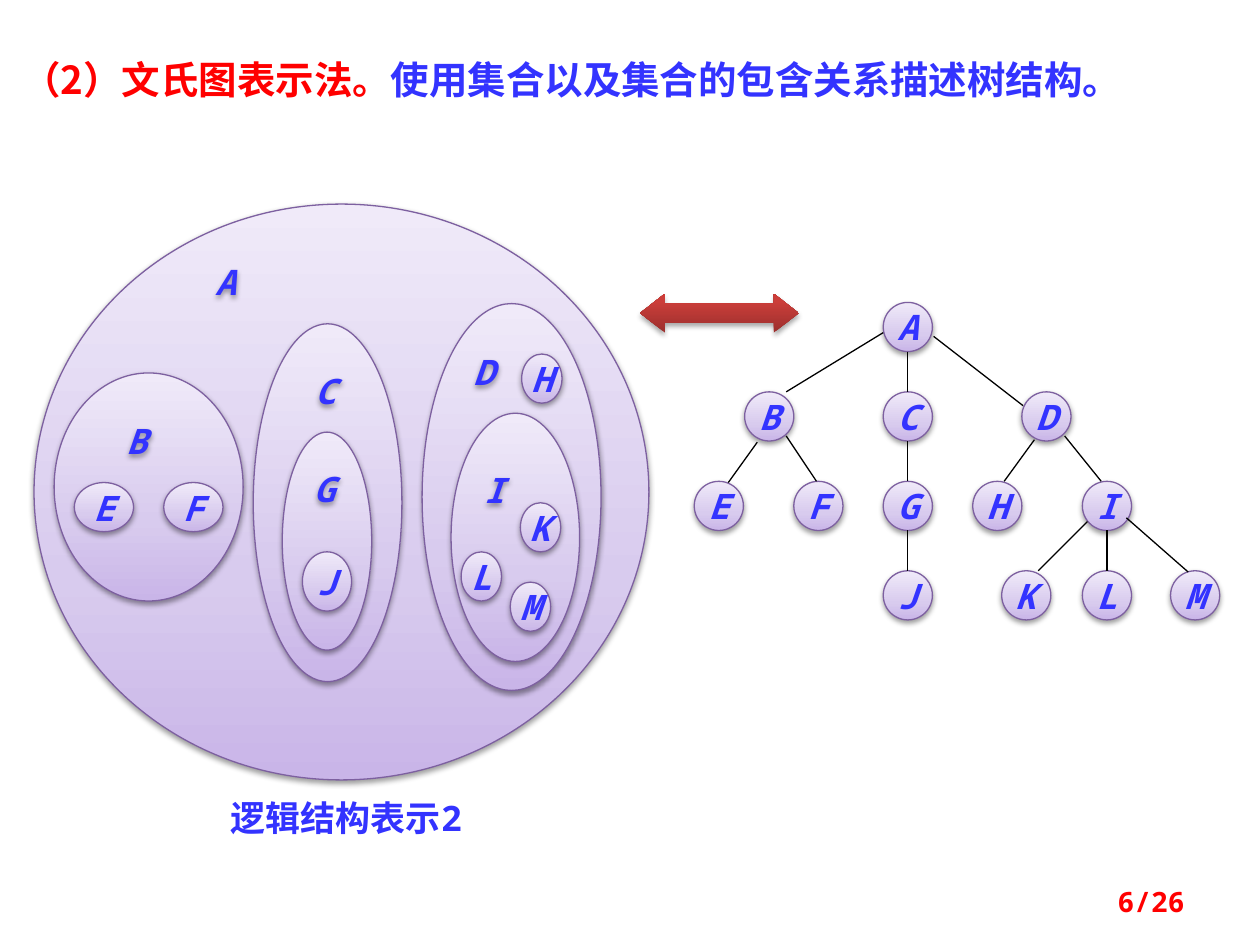
from dataclasses import dataclass
from typing import Optional

from pptx import Presentation
from pptx import oxml
from pptx import util as u
from pptx.dml.color import RGBColor
from pptx.enum import shapes, text
from pptx.oxml import ns


@dataclass(frozen=True)
class Theme:
    blue: str = "3333FF"
    red: str = "FF0000"
    edge: str = "000000"
    outline: str = "7D60A0"
    violet: tuple = ((0, "C9B5E8"), (35, "D8CBEE"), (100, "F0EAF9"))
    crimson: tuple = ((0, "9C2F2D"), (80, "CB3E3A"), (100, "CE3B37"))
    mono: str = "Noto Sans Mono"
    chinese: str = "Noto Sans CJK SC"
    serif: str = "Times New Roman"
    title_size: int = 22
    label_size: int = 20
    page_size: int = 16
    line_width: float = 0.75


THEME = Theme()
NODE_SIZE = 0.39
TREE_TOP = 2.4
LEVEL_STEP = 0.71
LABEL_SIZE = (0.4, 0.43)


@dataclass(frozen=True)
class VennSet:
    """A set; label is the label's corner, or None for a centred name."""
    name: str
    box: tuple
    label: Optional[tuple] = None


@dataclass(frozen=True)
class TreeNode:
    name: str
    left: float
    level: int

    @property
    def top(self) -> float:
        return TREE_TOP + LEVEL_STEP * self.level


@dataclass(frozen=True)
class Branch:
    start: tuple
    end: tuple


VENN_SETS = [
    VennSet("A", (0.27, 1.62, 4.88, 4.57), (1.61, 2.02)),
    VennSet("B", (0.43, 2.96, 1.5, 1.81), (0.9, 3.28)),
    VennSet("E", (0.59, 3.83, 0.47, 0.39)),
    VennSet("F", (1.3, 3.83, 0.47, 0.39)),
    VennSet("C", (2.01, 2.57, 1.18, 2.84), (2.4, 2.88)),
    VennSet("G", (2.24, 3.43, 0.71, 1.73), (2.39, 3.66)),
    VennSet("J", (2.4, 4.38, 0.39, 0.47)),
    VennSet("D", (3.35, 2.41, 1.42, 3.07), (3.66, 2.73)),
    VennSet("I", (3.58, 3.28, 1.02, 1.97), (3.74, 3.67)),
    VennSet("H", (4.14, 2.81, 0.32, 0.39)),
    VennSet("K", (4.13, 3.99, 0.32, 0.39)),
    VennSet("L", (3.66, 4.38, 0.32, 0.39)),
    VennSet("M", (4.05, 4.62, 0.32, 0.39)),
]
TREE_NODES = [
    TreeNode("A", 7.01, 0),
    TreeNode("B", 5.91, 1), TreeNode("C", 7.01, 1), TreeNode("D", 8.11, 1),
    TreeNode("E", 5.51, 2), TreeNode("F", 6.3, 2), TreeNode("G", 7.01, 2),
    TreeNode("H", 7.72, 2), TreeNode("I", 8.59, 2),
    TreeNode("J", 7.01, 3), TreeNode("K", 7.95, 3), TreeNode("L", 8.59, 3),
    TreeNode("M", 9.29, 3),
]
VERTICAL_BRANCHES = ["AC", "CG", "GJ", "IL"]
SLANTED_BRANCHES = [
    Branch((7.01, 2.64), (6.24, 3.11)),
    Branch((7.41, 2.67), (8.12, 3.22)),
    Branch((6.01, 3.51), (5.78, 3.83)),
    Branch((6.24, 3.46), (6.48, 3.82)),
    Branch((8.21, 3.49), (7.97, 3.82)),
    Branch((8.45, 3.46), (8.74, 3.82)),
    Branch((8.63, 4.14), (8.24, 4.53)),
    Branch((8.94, 4.11), (9.43, 4.54)),
]


def inches(values: tuple) -> list:
    return [u.Inches(value) for value in values]


def set_gradient(shape, stops: tuple) -> None:
    """Fill from bottom to top with (percent, colour) stops."""
    shape.fill.background()
    stop_xml = "".join(
        f'<a:gs pos="{percent * 1000}"><a:srgbClr val="{color}"/></a:gs>'
        for percent, color in stops)
    gradient = oxml.parse_xml(
        f'<a:gradFill {ns.nsdecls("a")} rotWithShape="1"><a:gsLst>{stop_xml}</a:gsLst>'
        '<a:lin ang="16200000" scaled="0"/></a:gradFill>')
    properties = shape._element.spPr
    properties.replace(properties.find(ns.qn("a:noFill")), gradient)


def set_shadow(shape, opacity: int = 38, distance: float = 1.6) -> None:
    shape.shadow.inherit = False
    effects = shape._element.spPr.find(ns.qn("a:effectLst"))
    effects.append(oxml.parse_xml(
        f'<a:outerShdw {ns.nsdecls("a")} blurRad="{u.Pt(3.1)}" dist="{u.Pt(distance)}" '
        'dir="5400000" rotWithShape="0"><a:srgbClr val="000000">'
        f'<a:alpha val="{opacity * 1000}"/></a:srgbClr></a:outerShdw>'))


def add_run(paragraph, content: str, size: int, color: str,
            font_name: str = THEME.mono, italic: bool = False) -> None:
    run = paragraph.add_run()
    run.text = content
    formats = {"size": u.Pt(size), "name": font_name, "bold": True, "italic": italic}
    for name, value in formats.items():
        setattr(run.font, name, value)
    run.font.color.rgb = RGBColor.from_string(color)
    east_asian = oxml.parse_xml(f'<a:ea {ns.nsdecls("a")} typeface="{THEME.chinese}"/>')
    run.font._element.find(ns.qn("a:latin")).addnext(east_asian)


def add_text_box(container, box: tuple, alignment=text.PP_ALIGN.LEFT,
                 anchor=text.MSO_ANCHOR.TOP):
    shape = container.add_textbox(*inches(box))
    shape.text_frame.word_wrap = True
    shape.text_frame.vertical_anchor = anchor
    shape.text_frame.paragraphs[0].alignment = alignment
    return shape


def add_name(shape, name: str) -> None:
    add_run(shape.text_frame.paragraphs[0], name, THEME.label_size, THEME.blue, italic=True)


def add_ellipse(container, box: tuple, name: str = "") -> None:
    shape = container.add_shape(shapes.MSO_SHAPE.OVAL, *inches(box))
    set_gradient(shape, THEME.violet)
    shape.line.color.rgb = RGBColor.from_string(THEME.outline)
    shape.line.width = u.Pt(THEME.line_width)
    set_shadow(shape)
    if name:
        frame = shape.text_frame
        frame.word_wrap = False
        frame.vertical_anchor = text.MSO_ANCHOR.MIDDLE
        frame.paragraphs[0].alignment = text.PP_ALIGN.CENTER
        add_name(shape, name)


def add_venn_set(container, venn_set: VennSet) -> None:
    if venn_set.label is None:
        add_ellipse(container, venn_set.box, venn_set.name)
        return
    add_ellipse(container, venn_set.box)
    label = add_text_box(container, venn_set.label + LABEL_SIZE)
    set_shadow(label)
    add_name(label, venn_set.name)


def add_branch(container, branch: Branch) -> None:
    connector = container.add_connector(
        shapes.MSO_CONNECTOR.STRAIGHT, *inches(branch.start + branch.end))
    connector.line.color.rgb = RGBColor.from_string(THEME.edge)
    connector.line.width = u.Pt(THEME.line_width)
    connector._element.spPr.append(oxml.parse_xml(f'<a:effectLst {ns.nsdecls("a")}/>'))


def vertical_branch(parent: TreeNode, child: TreeNode) -> Branch:
    middle = parent.left + NODE_SIZE / 2
    return Branch((middle, parent.top + NODE_SIZE), (middle, child.top))


def add_tree(container) -> None:
    nodes = {node.name: node for node in TREE_NODES}
    for node in TREE_NODES:
        add_ellipse(container, (node.left, node.top, NODE_SIZE, NODE_SIZE), node.name)
    verticals = [vertical_branch(nodes[parent], nodes[child])
                 for parent, child in VERTICAL_BRANCHES]
    for branch in verticals + SLANTED_BRANCHES:
        add_branch(container, branch)


def main() -> None:
    presentation = Presentation()
    presentation.slide_width, presentation.slide_height = inches((10, 7.5))
    slide = presentation.slides.add_slide(presentation.slide_layouts[6])

    title = add_text_box(slide.shapes, (0.08, 0.36, 9.96, 0.48), text.PP_ALIGN.JUSTIFY)
    paragraph = title.text_frame.paragraphs[0]
    paragraph.line_spacing = 1.1
    add_run(paragraph, "（2）文氏图表示法。", THEME.title_size, THEME.red, THEME.chinese)
    add_run(paragraph, "使用集合以及集合的包含关系描述树结构。",
            THEME.title_size, THEME.blue, THEME.serif)

    caption = add_text_box(slide.shapes, (0.98, 6.27, 3.54, 0.44), text.PP_ALIGN.CENTER)
    add_run(caption.text_frame.paragraphs[0], "逻辑结构表示2", THEME.label_size, THEME.blue)

    venn = slide.shapes.add_group_shape().shapes
    for venn_set in VENN_SETS:
        add_venn_set(venn, venn_set)

    arrow = slide.shapes.add_shape(
        shapes.MSO_SHAPE.LEFT_RIGHT_ARROW, *inches((5.08, 2.33, 1.26, 0.31)))
    arrow.adjustments[0], arrow.adjustments[1] = 0.5, 0.64
    set_gradient(arrow, THEME.crimson)
    arrow.line.fill.background()
    set_shadow(arrow, opacity=35, distance=1.8)

    add_tree(slide.shapes.add_group_shape().shapes)

    page = add_text_box(slide.shapes, (7.17, 6.95, 2.33, 0.4),
                        text.PP_ALIGN.RIGHT, text.MSO_ANCHOR.MIDDLE)
    add_run(page.text_frame.paragraphs[0], "6/26", THEME.page_size, THEME.red)

    presentation.save("out.pptx")


if __name__ == "__main__":
    main()
